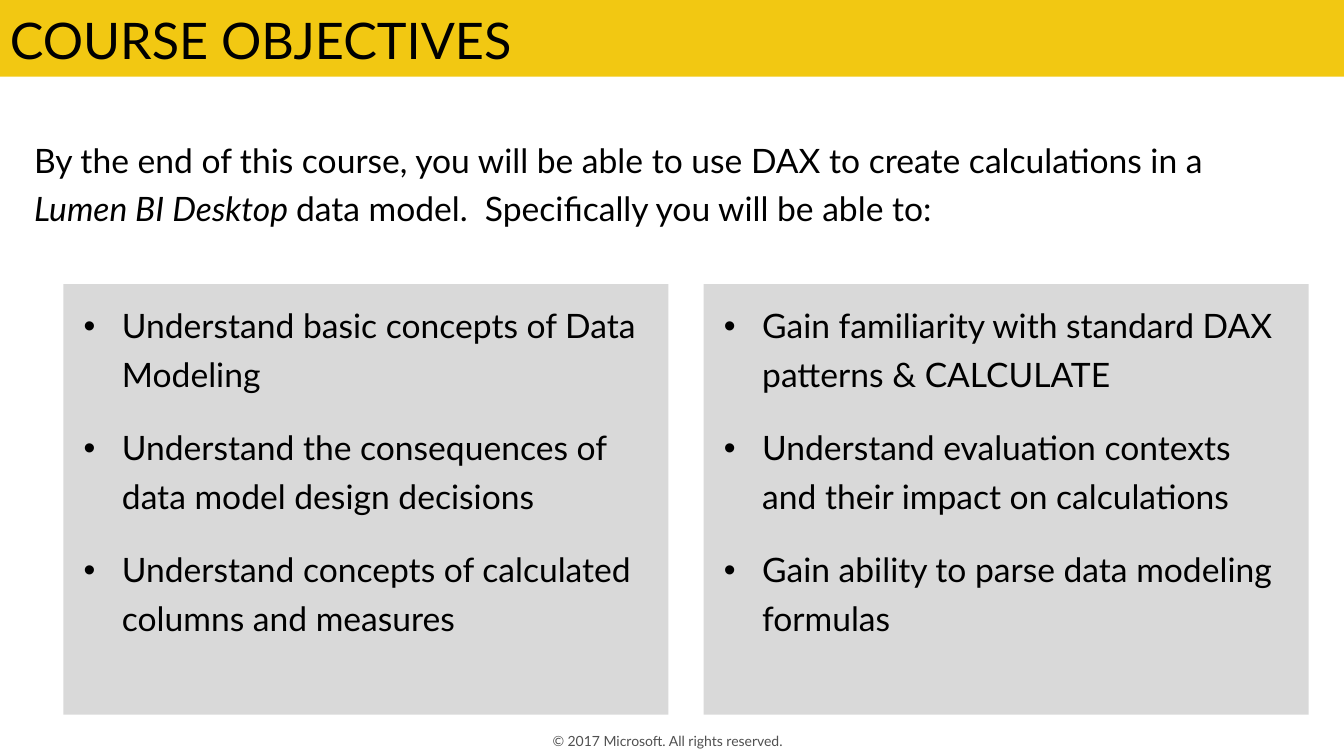
from pptx import Presentation
from pptx.dml.color import RGBColor
from pptx.enum import shapes, text
from pptx.oxml.ns import qn
from pptx.util import Inches, Pt
from lxml import etree

COLORS = {"banner": "F2C812", "panel": "D9D9D9", "text": "000000", "footer": "505050"}

presentation = Presentation()
presentation.slide_width = Inches(13.33)
presentation.slide_height = Inches(7.5)
slide = presentation.slides.add_slide(presentation.slide_layouts[6])


def add_rectangle(left, top, width, height, color):
    shape = slide.shapes.add_shape(
        shapes.MSO_SHAPE.RECTANGLE, Inches(left), Inches(top), Inches(width), Inches(height))
    shape.shadow.inherit = False
    shape.fill.solid()
    shape.fill.fore_color.rgb = RGBColor.from_string(COLORS[color])
    shape.line.fill.background()
    return shape


def add_run(paragraph, words, size, color="text", italic=False):
    run = paragraph.add_run()
    run.text = words
    run.font.name = "Lato"
    run.font.size = Pt(size)
    run.font.italic = italic
    run.font.color.rgb = RGBColor.from_string(COLORS[color])


# Title banner
add_rectangle(0, 0, 13.33, 0.76, "banner")
title = slide.shapes.add_textbox(Inches(0), Inches(0.04), Inches(12.53), Inches(0.71))
title.text_frame.word_wrap = True
add_run(title.text_frame.paragraphs[0], "COURSE OBJECTIVES", 36)

# Introduction
introduction = slide.shapes.add_textbox(Inches(0.24), Inches(1.26), Inches(12.07), Inches(1.07))
introduction.text_frame.word_wrap = True
paragraph = introduction.text_frame.paragraphs[0]
paragraph.line_spacing = 1.2
add_run(paragraph, "By the end of this course, you will be able to use DAX to create calculations in a ", 24)
add_run(paragraph, "Lumen BI Desktop ", 24, italic=True)
add_run(paragraph, "data model.  Specifically you will be able to:", 24)

# Objectives in two panels
objectives = [
    ["Understand basic concepts of Data Modeling",
     "Understand the consequences of data model design decisions",
     "Understand concepts of calculated columns and measures"],
    ["Gain familiarity with standard DAX patterns & CALCULATE",
     "Understand evaluation contexts and their impact on calculations",
     "Gain ability to parse data modeling formulas"],
]
for column, items in enumerate(objectives):
    panel = add_rectangle(0.63 + column * 6.35, 2.82, 6, 4.27, "panel")
    frame = panel.text_frame
    frame.word_wrap = True
    frame.vertical_anchor = text.MSO_ANCHOR.TOP
    frame.margin_left = Inches(0.2)
    frame.margin_right = Inches(0.16)
    frame.margin_top = Inches(0.13)
    for index, item in enumerate(items):
        paragraph = frame.paragraphs[0] if index == 0 else frame.add_paragraph()
        paragraph.alignment = text.PP_ALIGN.LEFT
        paragraph.line_spacing = 1.2
        paragraph.space_after = Pt(18)
        properties = paragraph._p.get_or_add_pPr()
        properties.set("marL", str(Inches(0.38)))
        properties.set("indent", str(-Inches(0.38)))
        etree.SubElement(properties, qn("a:buFont"), typeface="Arial")
        etree.SubElement(properties, qn("a:buChar"), char="•")
        add_run(paragraph, item, 24)

# Footer
footer = slide.shapes.add_textbox(Inches(4.42), Inches(7.23), Inches(4.5), Inches(0.25))
frame = footer.text_frame
frame.word_wrap = True
frame.vertical_anchor = text.MSO_ANCHOR.MIDDLE
frame.margin_left = frame.margin_top = frame.margin_bottom = 0
frame.paragraphs[0].alignment = text.PP_ALIGN.CENTER
add_run(frame.paragraphs[0], "© 2017 Microsoft. All rights reserved.", 10, "footer")

presentation.save("out.pptx")
